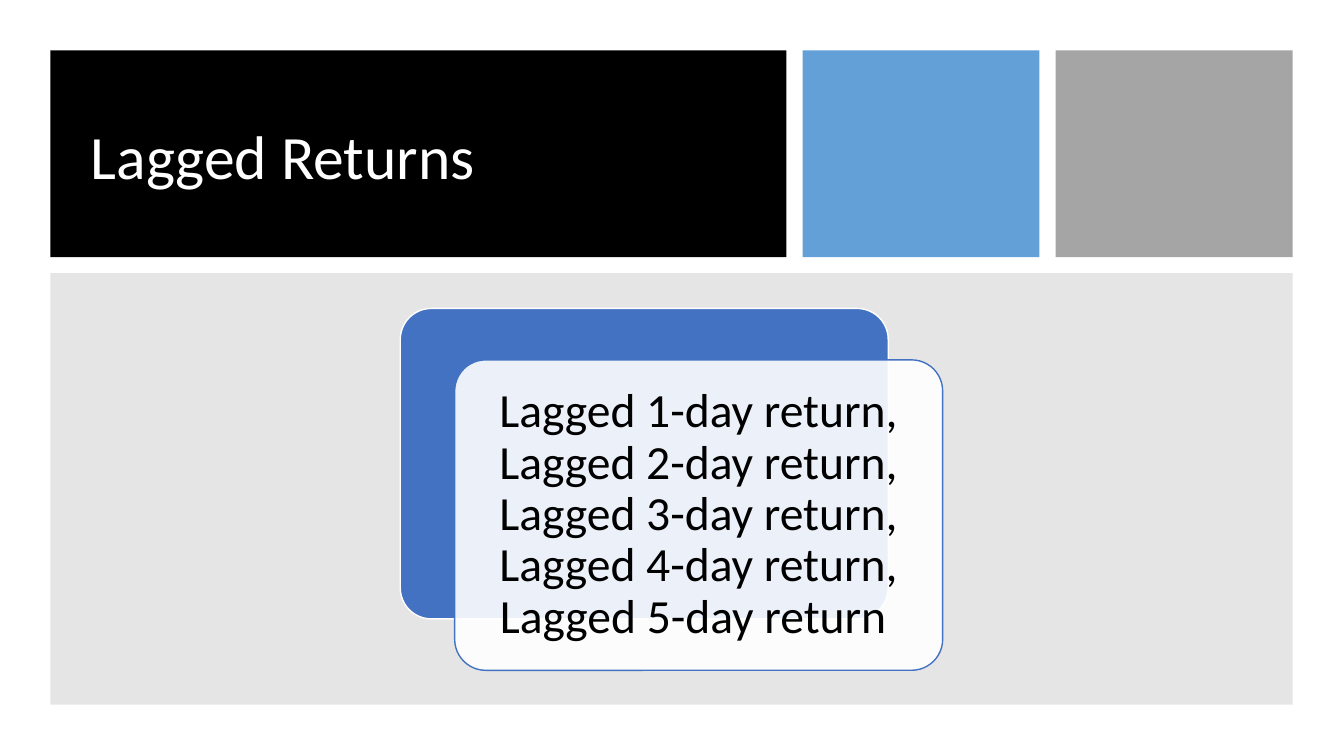
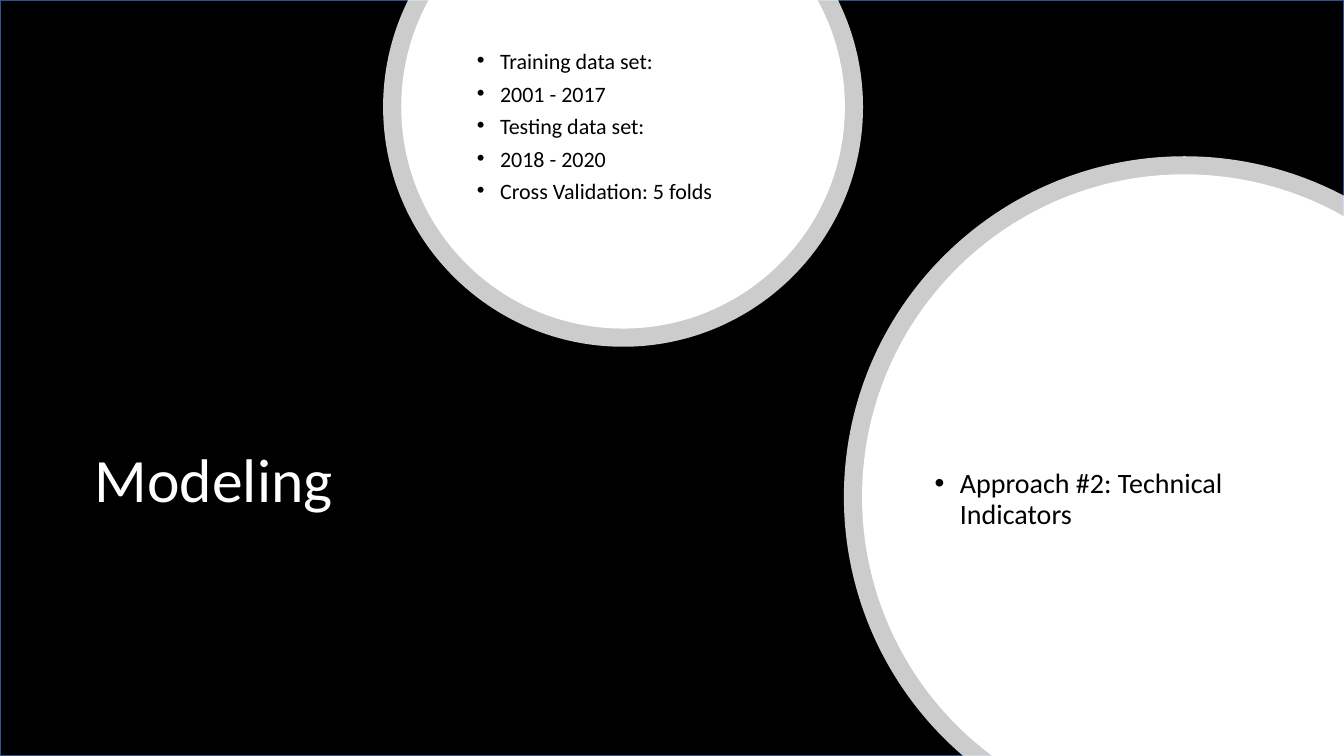
from itertools import pairwise
from math import acos, asin, cos, pi, sin, tan

from lxml.etree import SubElement
from pptx import Presentation
from pptx.dml.color import RGBColor
from pptx.enum.shapes import MSO_SHAPE
from pptx.enum.text import MSO_ANCHOR, MSO_AUTO_SIZE, PP_ALIGN
from pptx.oxml.ns import qn
from pptx.util import Inches, Pt

WIDTH, HEIGHT = 13.33, 7.5
FONT = "Calibri"
BLACK, WHITE = "000000", "FFFFFF"
BLUE, SKY, GRAY, DARK_GRAY, NAVY = "4372C3", "5B9BD5", "A5A5A5", "7F7F7F", "31538F"
TITLE_STYLE = {"size": 44, "color": WHITE}


def rgb(value):
    return RGBColor.from_string(value)


def paint(shape, fill, opacity=100, line=None):
    """Set fill, opacity in percent and an optional one-point outline."""
    shape.shadow.inherit = False
    shape.fill.solid()
    shape.fill.fore_color.rgb = rgb(fill)
    if opacity < 100:
        color = shape.element.spPr.find(qn("a:solidFill")).find(qn("a:srgbClr"))
        SubElement(color, qn("a:alpha")).set("val", str(opacity * 1000))
    if line:
        shape.line.color.rgb = rgb(line)
        shape.line.width = Pt(1)
    else:
        shape.line.fill.background()


def add_block(shapes, box, fill, opacity=100, line=None, kind=MSO_SHAPE.RECTANGLE):
    shape = shapes.add_shape(kind, *map(Inches, box))
    paint(shape, fill, opacity, line)
    return shape


def top_edge_arc(center_x, center_y, radius):
    """Angles of the arc left below the top edge of the slide."""
    cut = asin(center_y / radius)
    return -cut, pi + cut, []


def corner_arc(center_x, center_y, radius):
    """Angles of the arc left inside the bottom right corner of the slide."""
    start = pi - asin((HEIGHT - center_y) / radius)
    end = 2 * pi - acos((WIDTH - center_x) / radius)
    return start, end, [(WIDTH, HEIGHT)]


def add_disc(slide, center_x, center_y, radius, opacity, arc):
    """Draw a white disc cut off at the slide edges, curved between quadrants."""
    start, end, corners = arc(center_x, center_y, radius)
    quadrants = [turn * pi / 2 for turn in range(4) if start < turn * pi / 2 < end]
    angles = [start, *quadrants, end]

    def on_circle(angle):
        return center_x + radius * cos(angle), center_y + radius * sin(angle)

    points = [tuple(map(Inches, point))
              for point in [*map(on_circle, angles), *corners]]
    builder = slide.shapes.build_freeform(*points[0])
    builder.add_line_segments(points[1:], close=True)
    shape = builder.convert_to_shape()
    # Turn the straight segments along the circle into Bezier curves
    segments = list(shape.element.spPr.iter(qn("a:lnTo")))
    for segment, (first, last) in zip(segments, pairwise(angles)):
        reach = 4 / 3 * tan((last - first) / 4) * radius
        (first_x, first_y), (last_x, last_y) = on_circle(first), on_circle(last)
        controls = (
            (first_x - reach * sin(first), first_y + reach * cos(first)),
            (last_x + reach * sin(last), last_y - reach * cos(last)),
            (last_x, last_y),
        )
        segment.clear()
        curve = segment.makeelement(qn("a:cubicBezTo"))
        segment.getparent().replace(segment, curve)
        for x, y in controls:
            point = SubElement(curve, qn("a:pt"))
            point.set("x", str(Inches(x) - shape.left))
            point.set("y", str(Inches(y) - shape.top))
    paint(shape, WHITE, opacity)


def add_bullet(paragraph, indent):
    properties = paragraph._p.get_or_add_pPr()
    properties.set("marL", str(Inches(0.25)))
    properties.set("indent", str(-Inches(indent)))
    color = SubElement(properties, qn("a:buClr"))
    SubElement(color, qn("a:srgbClr")).set("val", BLACK)
    SubElement(properties, qn("a:buChar")).set("char", "•")


def write(shape, lines, size, color=BLACK, spacing=0.9, gap=0, align=PP_ALIGN.LEFT,
          margin=(0.1, 0.05), lift=0, bullet_indent=None):
    """Write one paragraph per line, centred in the shape above the lift."""
    across, down = margin
    frame = shape.text_frame
    frame_format = {
        "word_wrap": True, "auto_size": MSO_AUTO_SIZE.NONE,
        "vertical_anchor": MSO_ANCHOR.MIDDLE,
        "margin_left": Inches(across), "margin_right": Inches(across),
        "margin_top": Inches(down), "margin_bottom": Inches(down + lift),
    }
    for name, value in frame_format.items():
        setattr(frame, name, value)
    for index, line in enumerate(lines):
        paragraph = frame.add_paragraph() if index else frame.paragraphs[0]
        paragraph_format = {
            "alignment": align, "line_spacing": spacing,
            "space_before": Pt(gap if index else 0), "space_after": Pt(0),
        }
        for name, value in paragraph_format.items():
            setattr(paragraph, name, value)
        if bullet_indent:
            add_bullet(paragraph, bullet_indent)
        run = paragraph.add_run()
        run.text = line
        for name, value in {"name": FONT, "size": Pt(size), "bold": False}.items():
            setattr(run.font, name, value)
        run.font.color.rgb = rgb(color)


def place(placeholder, box, lines, **style):
    """Move a placeholder to its box, in front of the shapes, and fill it."""
    for name, value in zip(("left", "top", "width", "height"), box):
        setattr(placeholder, name, Inches(value))
    placeholder.element.getparent().append(placeholder.element)
    write(placeholder, lines, **style)


def add_header(slide, box, title):
    """Black title band followed by two coloured tiles."""
    left, top, width, height = box
    gap, tile = 0.16, 2.35
    band = width - 2 * (tile + gap)
    add_block(slide.shapes, (left, top, band, height), BLACK)
    place(slide.shapes.title, (left + 0.3, top + 0.3, band - 0.64, 1.56), [title],
          **TITLE_STYLE)
    for index, (color, opacity) in enumerate(((SKY, 95), (GRAY, 100))):
        tile_left = left + band + gap + index * (tile + gap)
        add_block(slide.shapes, (tile_left, top, tile, height), color, opacity)


def add_cards(slide, box, text):
    """Gray panel with two overlapping rounded cards, the front one with text."""
    left, top, width, height = box
    add_block(slide.shapes, box, DARK_GRAY, 20)
    cards = slide.shapes.add_group_shape().shapes
    card_left, card_top = left + 3.47, top + 0.35
    for step, fill, opacity, line in ((0, BLUE, 100, WHITE), (1, WHITE, 90, BLUE)):
        card_box = (card_left + step * 0.54, card_top + step * 0.51, 4.84, 3.08)
        card = add_block(cards, card_box, fill, opacity, line,
                         MSO_SHAPE.ROUNDED_RECTANGLE)
        card.adjustments[0] = 0.1
    write(card, [text], size=34, align=PP_ALIGN.CENTER, margin=(0.14, 0.14))


def build_returns_slide(presentation):
    slide = presentation.slides.add_slide(presentation.slide_layouts[5])
    add_header(slide, (0.5, 0.5, 12.32, 2.05), "Lagged Returns")
    add_cards(slide, (0.5, 2.71, 12.32, 4.28),
              "Lagged 1-day return, Lagged 2-day return, Lagged 3-day return, "
              "Lagged 4-day return, Lagged 5-day return ")


def build_modeling_slide(presentation):
    slide = presentation.slides.add_slide(presentation.slide_layouts[3])
    add_block(slide.shapes, (0, 0, WIDTH, HEIGHT), BLACK, line=NAVY)
    place(slide.shapes.title, (0.84, 3.83, 6.62, 2.65), ["Modeling"], lift=0.73,
          **TITLE_STYLE)
    # Translucent discs below solid ones leave a gray ring
    discs = ((6.18, 1.06, 2.38, top_edge_arc), (11.75, 4.93, 3.38, corner_arc))
    for inset, opacity in ((0, 80), (0.18, 100)):
        for center_x, center_y, radius, arc in discs:
            add_disc(slide, center_x, center_y, radius - inset, opacity, arc)
    # Lists inside the discs
    place(slide.placeholders[1], (4.61, 0.39, 3.15, 1.96),
          ["Training data set:", "2001 - 2017", "Testing data set:", "2018 - 2020",
           "Cross Validation: 5 folds"],
          size=15.7, spacing=0.7, gap=10, lift=0.18, bullet_indent=0.23)
    place(slide.placeholders[2], (9.17, 3.44, 3.8, 3.04),
          ["Approach #2: Technical Indicators"], size=20, bullet_indent=0.25)


def main():
    presentation = Presentation()
    presentation.slide_width = Inches(WIDTH)
    presentation.slide_height = Inches(HEIGHT)
    build_returns_slide(presentation)
    build_modeling_slide(presentation)
    presentation.save("out.pptx")


if __name__ == "__main__":
    main()
